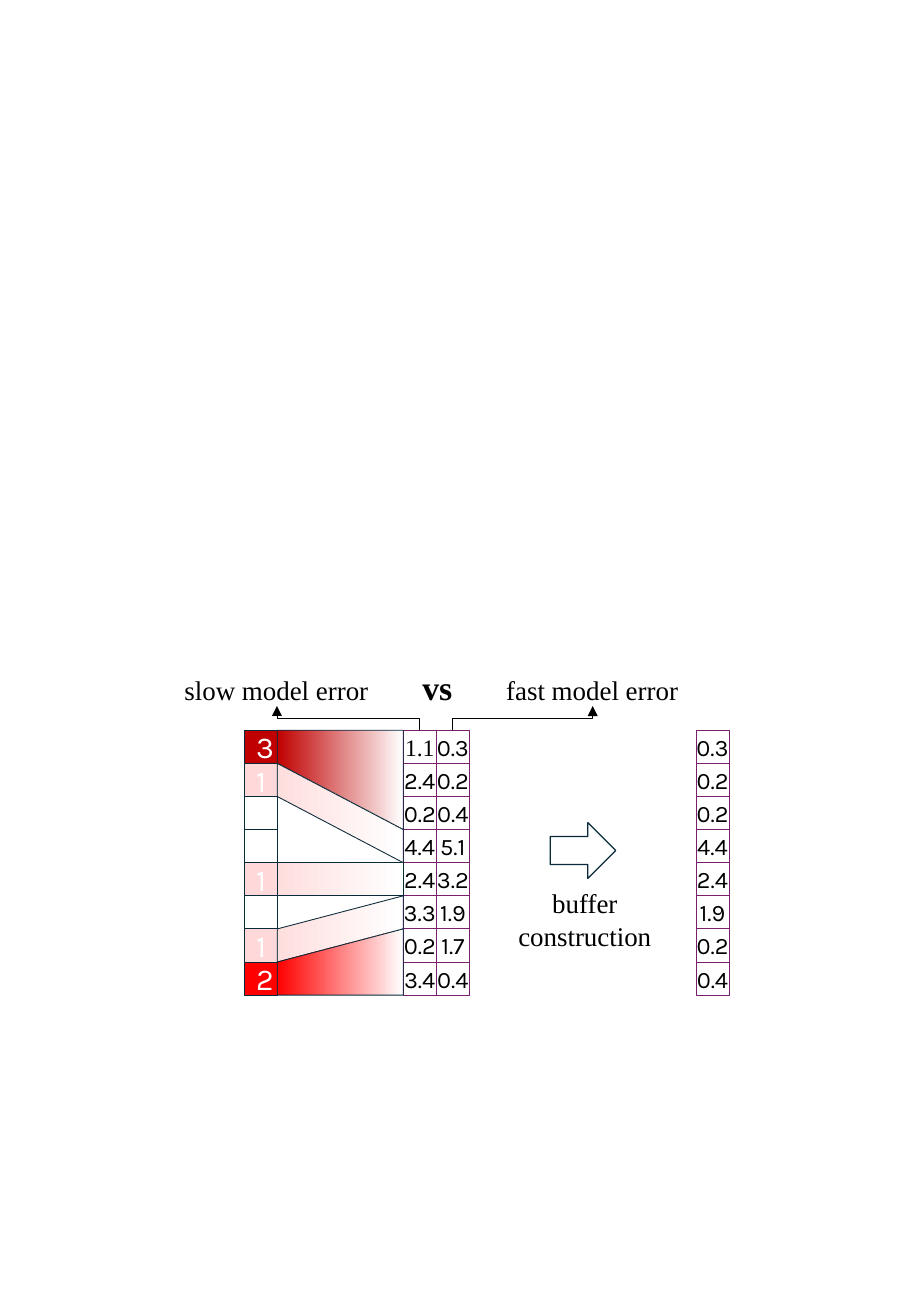
"""Draw how a buffer is built from slow and fast model errors."""
from typing import NamedTuple, Optional

from lxml.etree import SubElement
from pptx import Presentation
from pptx.dml.color import RGBColor
from pptx.enum.shapes import MSO_CONNECTOR, MSO_SHAPE
from pptx.enum.text import PP_ALIGN
from pptx.oxml.ns import qn
from pptx.util import Inches, Pt

BLACK = RGBColor(0x00, 0x00, 0x00)
WHITE = RGBColor(0xFF, 0xFF, 0xFF)
NAVY = RGBColor(0x09, 0x2A, 0x39)
PURPLE = RGBColor(0x78, 0x20, 0x6E)
DARK_RED = RGBColor(0xC0, 0x00, 0x00)
RED = RGBColor(0xFF, 0x00, 0x00)
PINK = RGBColor(0xFF, 0xDE, 0xDE)
SANS = "Karla"
SERIF = "Times New Roman"

TOP = 6.01
CELL = 0.2725
COUNT_LEFT = 2.01
SLOW_LEFT = 3.32
FAST_LEFT = SLOW_LEFT + CELL
BUFFER_LEFT = 5.73
BAND_LEFT = COUNT_LEFT + CELL


class Count(NamedTuple):
    row: int
    text: str = ""
    color: RGBColor = WHITE
    opacity: int = 100


class Column(NamedTuple):
    left: float
    values: str


class Band(NamedTuple):
    color: RGBColor
    start: tuple[int, int]
    end: tuple[int, int]


class Label(NamedTuple):
    text: str
    left: float
    top: float
    width: float
    height: float
    size: int = 16
    bold: bool = False


class Arrow(NamedTuple):
    start_x: float
    end_x: float


COUNTS = [
    Count(0, "3", DARK_RED), Count(1, "1", RED, 15), Count(2), Count(3),
    Count(4, "1", RED, 15), Count(5), Count(6, "1", RED, 15), Count(7, "2", RED),
]
COLUMNS = [
    Column(SLOW_LEFT, "1.1 2.4 0.2 4.4 2.4 3.3 0.2 3.4"),
    Column(FAST_LEFT, "0.3 0.2 0.4 5.1 3.2 1.9 1.7 0.4"),
    Column(BUFFER_LEFT, "0.3 0.2 0.2 4.4 2.4 1.9 0.2 0.4"),
]
BANDS = [
    Band(DARK_RED, (0, 1), (0, 3)),
    Band(PINK, (6, 7), (5, 6)),
    Band(PINK, (4, 5), (4, 5)),
    Band(RED, (7, 8), (6, 8)),
    Band(PINK, (1, 2), (3, 4)),
]
LABELS = [
    Label("slow model error", 1.48, 5.54, 1.59, 0.27),
    Label("fast model error", 3.75, 5.54, 2.25, 0.27),
    Label("vs", 3.39, 5.49, 0.42, 0.34, 20, True),
    Label("buffer construction", 4.05, 7.3, 1.53, 0.54),
]
ARROWS = [Arrow(SLOW_LEFT + CELL / 2, 2.28), Arrow(FAST_LEFT + CELL / 2, 4.88)]
ARROW_END_Y = 5.81


def row_y(row: int) -> float:
    return TOP + row * CELL


def write_text(frame, text: str, *, font: str, size: int, color: RGBColor = BLACK,
               bold: bool = False, inset: Optional[float] = 0) -> None:
    frame.word_wrap = True
    if inset is not None:
        frame.margin_left = frame.margin_right = Inches(inset)
        frame.margin_top = frame.margin_bottom = Inches(inset)
    paragraph = frame.paragraphs[0]
    paragraph.alignment = PP_ALIGN.CENTER
    run = paragraph.add_run()
    run.text = text
    run.font.name = font
    run.font.size = Pt(size)
    run.font.bold = bold
    run.font.color.rgb = color


def outline(shape, color: RGBColor, weight: float = 0.5) -> None:
    shape.shadow.inherit = False
    shape.line.color.rgb = color
    shape.line.width = Pt(weight)


def add_box(slide, kind: MSO_SHAPE, left: float, top: float, width: float, height: float):
    shape = slide.shapes.add_shape(
        kind, Inches(left), Inches(top), Inches(width), Inches(height))
    shape.fill.background()
    return shape


def add_count(slide, count: Count) -> None:
    shape = add_box(slide, MSO_SHAPE.RECTANGLE, COUNT_LEFT, row_y(count.row), CELL, CELL)
    outline(shape, NAVY)
    shape.fill.solid()
    shape.fill.fore_color.rgb = count.color
    if count.opacity < 100:
        color = shape._element.spPr.find(qn("a:solidFill")).find(qn("a:srgbClr"))
        SubElement(color, qn("a:alpha"), val=str(count.opacity * 1000))
    if count.text:
        write_text(shape.text_frame, count.text, font=SANS, size=18, color=WHITE, inset=None)


def add_column(slide, column: Column) -> None:
    for row, value in enumerate(column.values.split()):
        shape = add_box(slide, MSO_SHAPE.RECTANGLE, column.left, row_y(row), CELL, CELL)
        outline(shape, PURPLE)
        font = SERIF if value == "1.1" else SANS
        write_text(shape.text_frame, value, font=font, size=14)


def add_band(slide, band: Band) -> None:
    if band.start == band.end:
        shape = add_box(slide, MSO_SHAPE.RECTANGLE, BAND_LEFT, row_y(band.start[0]),
                        SLOW_LEFT - BAND_LEFT, CELL)
    else:
        corners = [(BAND_LEFT, band.start[0]), (SLOW_LEFT, band.end[0]),
                   (SLOW_LEFT, band.end[1]), (BAND_LEFT, band.start[1])]
        points = [(Inches(x), Inches(row_y(row))) for x, row in corners]
        builder = slide.shapes.build_freeform(*points[0])
        builder.add_line_segments(points[1:], close=True)
        shape = builder.convert_to_shape()
    outline(shape, NAVY)
    shape.fill.gradient()
    shape.fill.gradient_angle = 0
    for stop, color in zip(shape.fill.gradient_stops, (band.color, WHITE)):
        stop.color.rgb = color


def add_label(slide, label: Label) -> None:
    box = slide.shapes.add_textbox(Inches(label.left), Inches(label.top),
                                   Inches(label.width), Inches(label.height))
    write_text(box.text_frame, label.text, font=SERIF, size=label.size, bold=label.bold)


def add_arrow(slide, arrow: Arrow) -> None:
    center_x, center_y = (arrow.start_x + arrow.end_x) / 2, (TOP + ARROW_END_Y) / 2
    half_rise, half_run = (TOP - ARROW_END_Y) / 2, (arrow.start_x - arrow.end_x) / 2
    connector = slide.shapes.add_connector(
        MSO_CONNECTOR.ELBOW,
        Inches(center_x - half_rise), Inches(center_y + half_run),
        Inches(center_x + half_rise), Inches(center_y - half_run))
    connector.line.color.rgb = BLACK
    connector.line.width = Pt(0.5)
    properties = connector._element.spPr
    properties.find(qn("a:xfrm")).set("rot", str(270 * 60000))
    SubElement(properties.find(qn("a:ln")), qn("a:tailEnd"), type="triangle")
    SubElement(properties, qn("a:effectLst"))


def main() -> None:
    presentation = Presentation()
    presentation.slide_width = Inches(7.5)
    presentation.slide_height = Inches(10.83)
    slide = presentation.slides.add_slide(presentation.slide_layouts[6])
    for count in COUNTS:
        add_count(slide, count)
    for column in COLUMNS:
        add_column(slide, column)
    for band in BANDS:
        add_band(slide, band)
    for label in LABELS:
        add_label(slide, label)
    for arrow in ARROWS:
        add_arrow(slide, arrow)
    outline(add_box(slide, MSO_SHAPE.RIGHT_ARROW, 4.53, 6.77, 0.54, 0.46), NAVY, 0.75)
    presentation.save("out.pptx")


if __name__ == "__main__":
    main()
